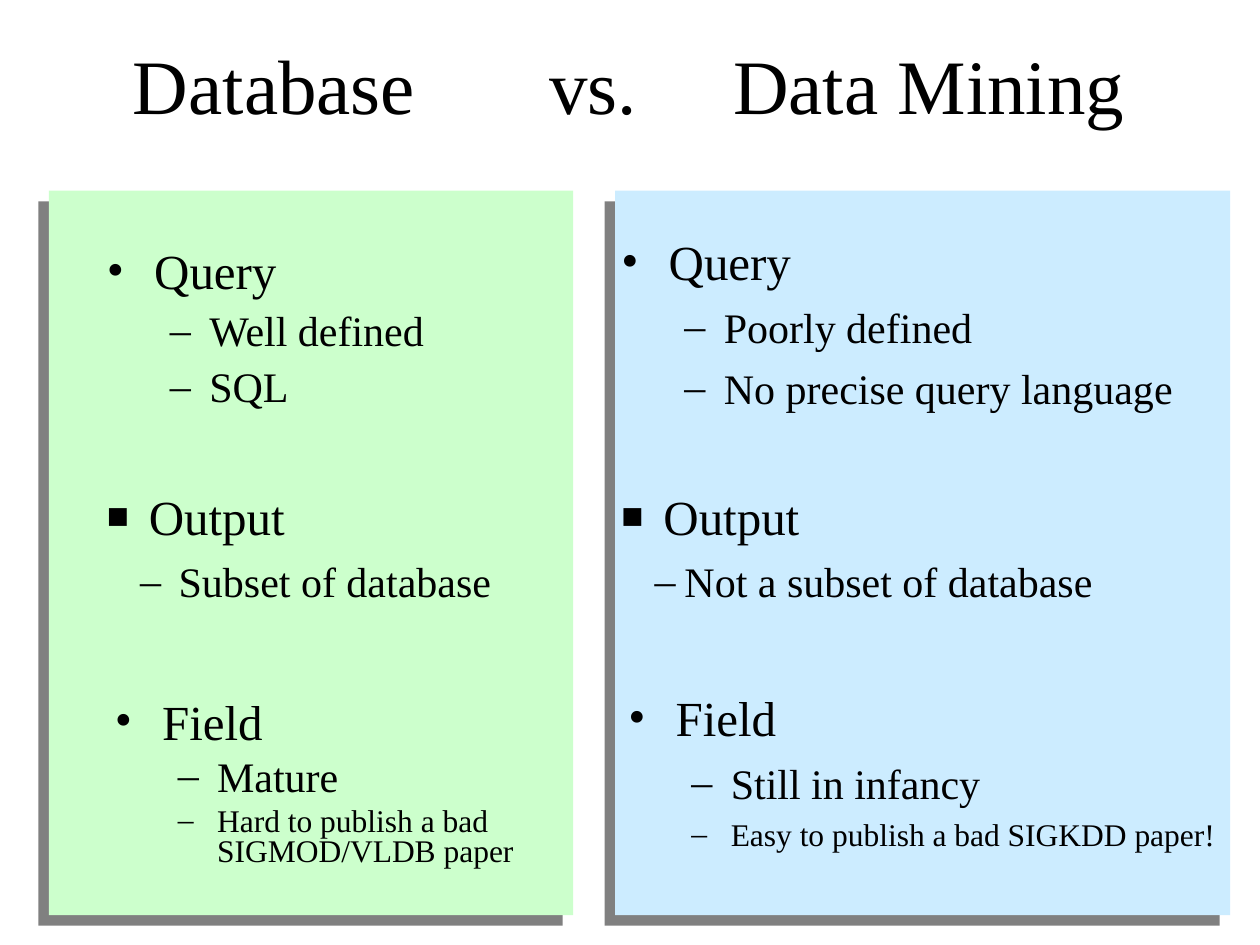
from lxml.etree import SubElement
from pptx import Presentation
from pptx.dml.color import RGBColor
from pptx.enum.shapes import MSO_SHAPE
from pptx.enum.text import MSO_ANCHOR
from pptx.oxml.ns import qn
from pptx.util import Pt

COLORS = {"text": "000000", "green": "CCFFCC", "blue": "CCECFF", "shadow": "808080"}
FONT = "Times New Roman"
HEAD = (27, -27)
SUB = (58.5, -22.5)
SQUARE = (24, -24)

prs = Presentation()
prs.slide_width, prs.slide_height = Pt(720), Pt(540)
s = prs.slides.add_slide(prs.slide_layouts[6])


def add_text(left, top, width, height):
    tf = s.shapes.add_textbox(Pt(left), Pt(top), Pt(width), Pt(height)).text_frame
    tf.word_wrap = True
    return tf


def format_paragraph(p, text, size):
    p.text = text
    for r in p.runs:
        r.font.size = Pt(size)
        r.font.name = FONT
        r.font.color.rgb = RGBColor.from_string(COLORS["text"])


for left, width, color in [(351.5, 351.5, "blue"), (28, 299.5, "green")]:
    sp = s.shapes.add_shape(MSO_SHAPE.RECTANGLE, Pt(left), Pt(109), Pt(width), Pt(414))
    sp.fill.solid()
    sp.fill.fore_color.rgb = RGBColor.from_string(COLORS[color])
    sp.line.fill.background()
    sp.shadow.inherit = False
    effects = sp._element.spPr.find(qn("a:effectLst"))
    shadow = SubElement(effects, qn("a:outerShdw"), dist=str(Pt(8.5)),
                        dir=str(135 * 60000), algn="ctr", rotWithShape="0")
    SubElement(shadow, qn("a:srgbClr"), val=COLORS["shadow"])

tf = add_text(54, 0, 612, 96)
tf.vertical_anchor = MSO_ANCHOR.MIDDLE
tf.margin_left = Pt(22)
p = tf.paragraphs[0]
tabs = SubElement(p._p.get_or_add_pPr(), qn("a:tabLst"))
for stop in (238, 343):
    SubElement(tabs, qn("a:tab"), pos=str(Pt(stop)), algn="l")
format_paragraph(p, "Database\tvs.\tData Mining", 44)

blocks = [
    (54, 137.5, 300, 108, 0.9, [
        ("Query", 28, "•", HEAD), ("Well defined", 24, "–", SUB), ("SQL", 24, "–", SUB)]),
    (348, 129, 372, 114, 1, [
        ("Query", 28, "•", HEAD), ("Poorly defined", 24, "–", SUB),
        ("No precise query language", 24, "–", SUB)]),
    (54, 274.5, 282, 76, 1, [
        ("Output", 28, "■", SQUARE), ("Subset of database", 24, "–", (41, -22))]),
    (348, 274.5, 372, 76, 1, [
        ("Output", 28, "■", SQUARE), ("Not a subset of database", 24, "–", (36, -17))]),
    (58.5, 398, 300, 108, 0.8, [
        ("Field", 28, "•", HEAD), ("Mature", 24, "–", SUB),
        ("Hard to publish a bad SIGMOD/VLDB paper", 18, "–", SUB)]),
    (352, 389.5, 368, 114, 1, [
        ("Field", 28, "•", HEAD), ("Still in infancy", 24, "–", SUB),
        ("Easy to publish a bad SIGKDD paper!", 18, "–", SUB)]),
]
for left, top, width, height, spacing, items in blocks:
    tf = add_text(left, top, width, height)
    for i, (text, size, bullet, (margin, indent)) in enumerate(items):
        p = tf.add_paragraph() if i else tf.paragraphs[0]
        pPr = p._p.get_or_add_pPr()
        pPr.set("marL", str(Pt(margin)))
        pPr.set("indent", str(Pt(indent)))
        SubElement(SubElement(pPr, qn("a:buClr")), qn("a:srgbClr"), val=COLORS["text"])
        if bullet == "■":
            SubElement(pPr, qn("a:buSzPct"), val="75000")
        SubElement(pPr, qn("a:buFont"), typeface=FONT)
        SubElement(pPr, qn("a:buChar"), char=bullet)
        p.line_spacing = float(spacing)
        if i:
            p.level = 1
            p.space_before = Pt(size / 4)
        format_paragraph(p, text, size)

prs.save("out.pptx")
